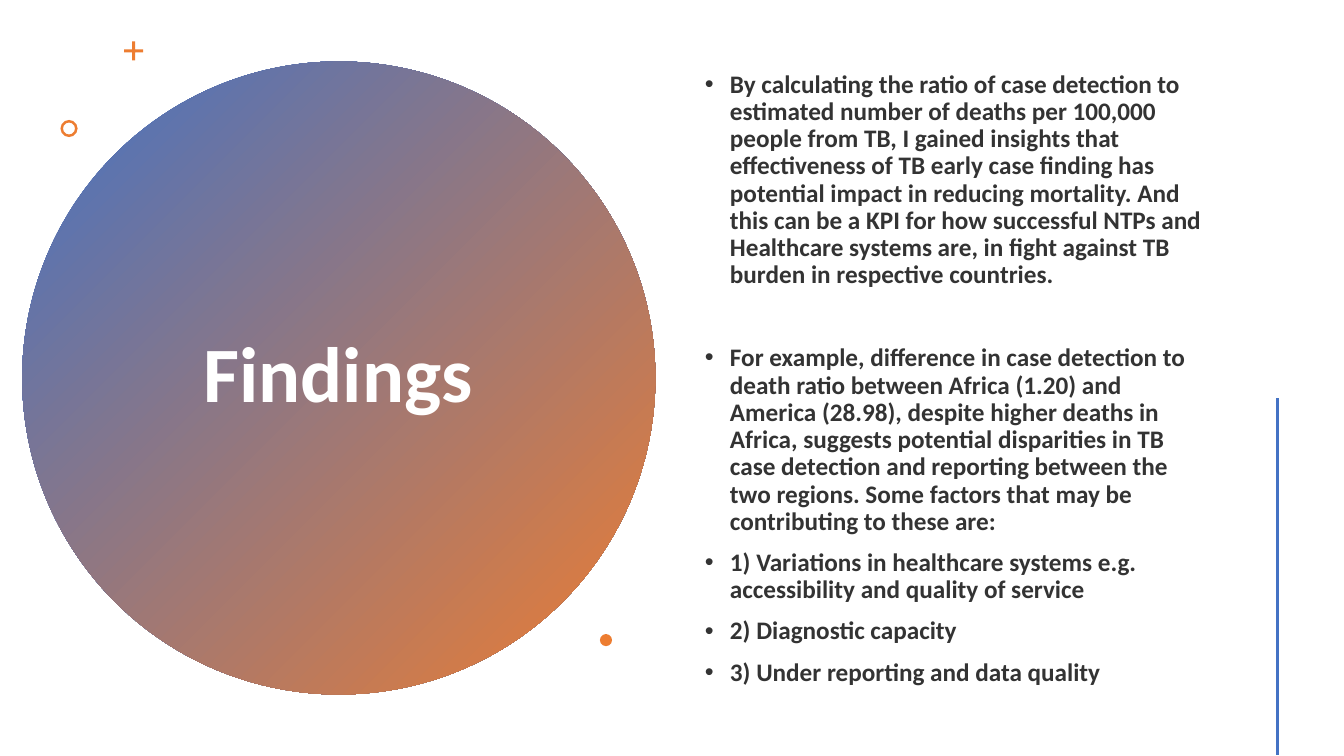
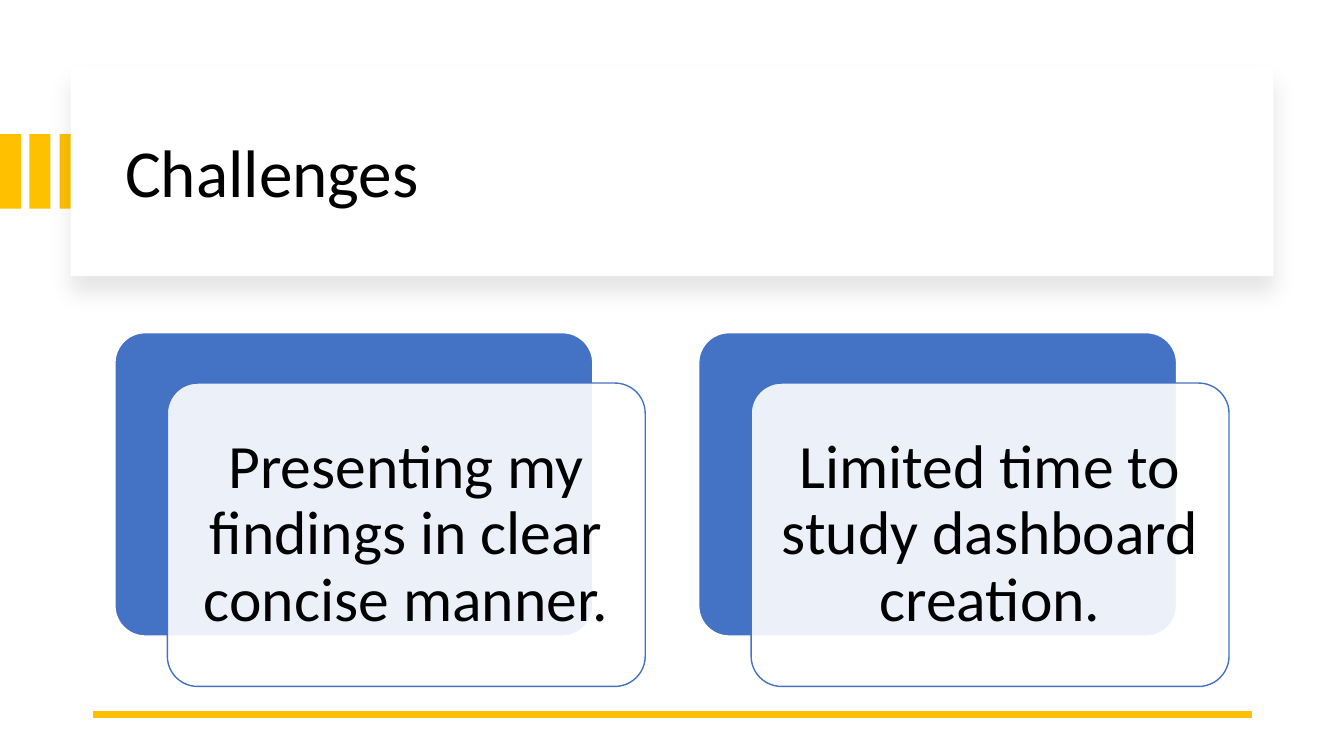
import pptx
import pptx.util
import pptx.dml.color
import pptx.enum.shapes
import pptx.enum.text
import pptx.oxml
import pptx.oxml.ns

PX = 9144
BLUE, ORANGE, GOLD = "4472C4", "ED7D31", "FFC000"
WHITE, BLACK, GREY = "FFFFFF", "000000", "333333"
FONT = "Calibri"
KIND = pptx.enum.shapes.MSO_SHAPE
ALIGN = pptx.enum.text.PP_ALIGN
MIDDLE = pptx.enum.text.MSO_ANCHOR.MIDDLE
Pt = pptx.util.Pt
qn = pptx.oxml.ns.qn


def hue(code):
    return pptx.dml.color.RGBColor.from_string(code)


def draw(slide, kind, box, fill, line=None, round=None):
    shape = slide.shapes.add_shape(kind, *[n * PX for n in box])
    shape.shadow.inherit = False
    shape.fill.solid()
    shape.fill.fore_color.rgb = hue(fill)
    if line:
        shape.line.color.rgb = hue(line)
        shape.line.width = Pt(1)
    else:
        shape.line.fill.background()
    if round is not None:
        shape.adjustments[0] = round
    return shape


deck = pptx.Presentation()
deck.slide_width, deck.slide_height = 1333 * PX, 750 * PX
finds = deck.slides.add_slide(deck.slide_layouts[1])
tasks = deck.slides.add_slide(deck.slide_layouts[5])

disc = draw(finds, KIND.OVAL, (22, 61, 628, 628), BLUE)
disc.fill.gradient()
disc.fill.gradient_angle = 315
for stop, code in zip(disc.fill.gradient_stops, (BLUE, ORANGE)):
    stop.color.rgb = hue(code)
draw(finds, KIND.CROSS, (123, 41, 19, 19), ORANGE, round=0.42)
draw(finds, KIND.DONUT, (60, 119, 17, 17), ORANGE, round=0.15)
draw(finds, KIND.OVAL, (595, 629, 12, 12), ORANGE)

for i in range(3):
    draw(tasks, KIND.RECTANGLE, (i * 59 // 2, 133, 21, 74), GOLD)
band = draw(tasks, KIND.RECTANGLE, (70, 67, 1193, 207), WHITE)
glow = pptx.oxml.parse_xml(
    '<a:outerShdw xmlns:a="http://schemas.openxmlformats.org/drawingml/2006/main"'
    ' blurRad="190500" dist="139700" dir="5400000" algn="t" rotWithShape="0">'
    '<a:srgbClr val="000000"><a:alpha val="10000"/></a:srgbClr></a:outerShdw>')
band.element.spPr.find(qn("a:effectLst")).append(glow)

points = [
    ("By calculating the ratio of case detection to estimated number of deaths "
     "per 100,000 people from TB, I gained insights that effectiveness of TB early "
     "case finding has potential impact in reducing mortality. And this can be a "
     "KPI for how successful NTPs and Healthcare systems are, in fight against TB "
     "burden in respective countries.", 10),
    ("For example, difference in case detection to death ratio between Africa "
     "(1.20) and America (28.98), despite higher deaths in Africa, suggests "
     "potential disparities in TB case detection and reporting between the two "
     "regions. Some factors that may be contributing to these are:", 40),
    ("1) Variations in healthcare systems e.g. accessibility and quality of service", 10),
    ("2) Diagnostic capacity", 10),
    ("3) Under reporting and data quality", 10),
]
holders = [
    (finds.shapes.title, (136, 141, 399, 467), [("Findings", 0)],
     56, True, WHITE, ALIGN.CENTER),
    (finds.placeholders[1], (689, 57, 522, 638), points,
     18, True, GREY, ALIGN.LEFT),
    (tasks.shapes.title, (114, 89, 1113, 170), [("Challenges", 0)],
     48, False, BLACK, ALIGN.LEFT),
]
for holder, box, lines, size, bold, code, side in holders:
    holder.left, holder.top, holder.width, holder.height = [n * PX for n in box]
    holder.element.getparent().append(holder.element)
    frame = holder.text_frame
    frame.text = "\n".join(text for text, gap in lines)
    frame.auto_size = pptx.enum.text.MSO_AUTO_SIZE.NONE
    frame.vertical_anchor = MIDDLE
    for para, (text, gap) in zip(frame.paragraphs, lines):
        para.alignment = side
        para.line_spacing = 0.9
        para.space_before = Pt(gap)
        para.font.name, para.font.size, para.font.bold = FONT, Pt(size), bold
        para.font.color.rgb = hue(code)
        if lines is points:
            props = para._p.get_or_add_pPr()
            props.set("marL", str(25 * PX))
            props.set("indent", str(-25 * PX))

notes = ["Presenting my findings in clear concise manner.",
         "Limited time to study dashboard creation."]
for i, text in enumerate(notes):
    left = 114 + i * 579
    draw(tasks, KIND.ROUNDED_RECTANGLE, (left, 330, 474, 301), BLUE, WHITE, 0.1)
    card = draw(tasks, KIND.ROUNDED_RECTANGLE, (left + 52, 380, 474, 301),
                WHITE, BLUE, 0.1)
    tint = card.element.spPr.find(qn("a:solidFill")).find(qn("a:srgbClr"))
    tint.append(tint.makeelement(qn("a:alpha"), {"val": "90000"}))
    frame = card.text_frame
    frame.word_wrap = True
    frame.vertical_anchor = MIDDLE
    frame.margin_left = frame.margin_right = 18 * PX
    frame.margin_top = frame.margin_bottom = 18 * PX
    frame.text = text
    para = frame.paragraphs[0]
    para.alignment = ALIGN.CENTER
    para.line_spacing = 0.9
    para.font.name, para.font.size = FONT, Pt(44)
    para.font.color.rgb = hue(BLACK)

rules = [(finds, (1267, 395, 1267, 749), BLUE, 2),
         (tasks, (1242, 709, 92, 709), GOLD, 4.5)]
for slide, ends, code, width in rules:
    rule = slide.shapes.add_connector(
        pptx.enum.shapes.MSO_CONNECTOR.STRAIGHT, *[n * PX for n in ends])
    rule.line.color.rgb = hue(code)
    rule.line.width = Pt(width)
    props = rule.element.spPr
    props.append(props.makeelement(qn("a:effectLst"), {}))

deck.save("out.pptx")
